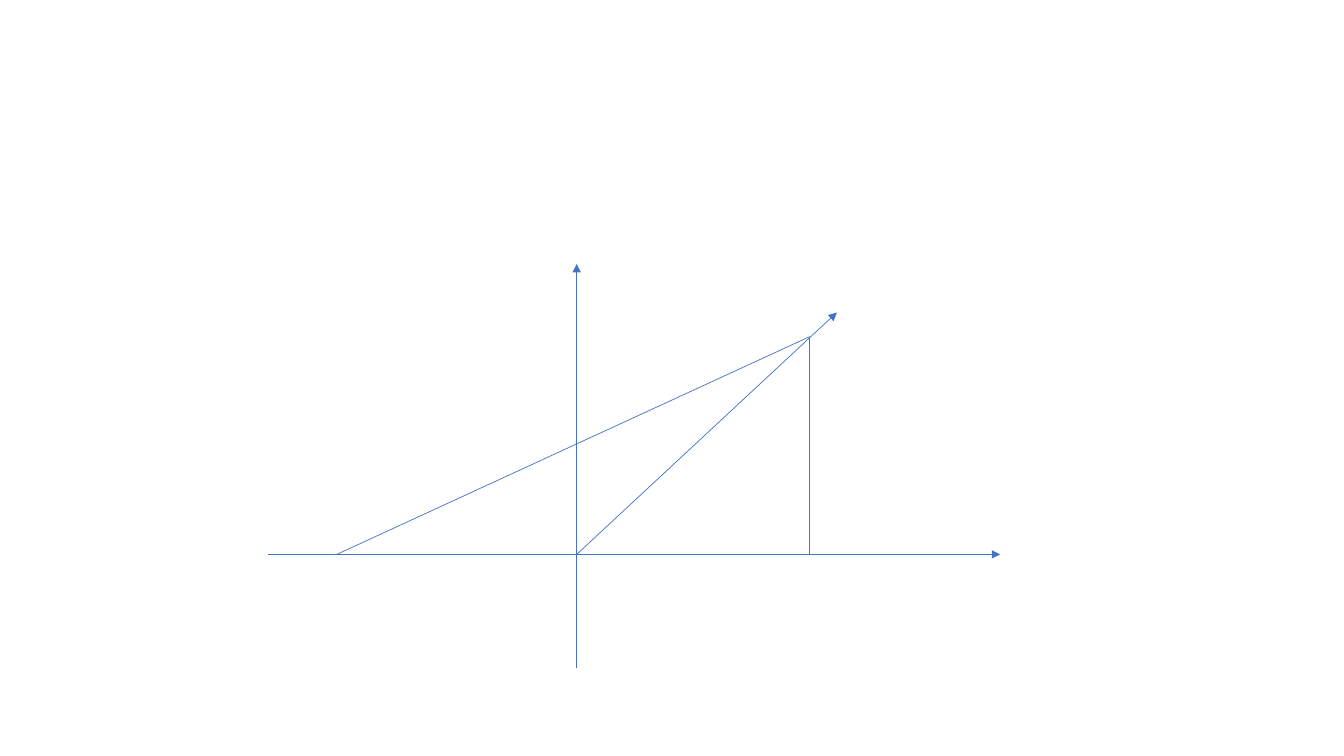
from lxml import etree
from pptx import Presentation
from pptx.dml.color import RGBColor
from pptx.enum.shapes import MSO_CONNECTOR
from pptx.oxml.ns import qn
from pptx.util import Inches, Pt

STRAIGHT = MSO_CONNECTOR.STRAIGHT
BLUE = "4472C4"
BLANK_LAYOUT = 6


def color(hex_code):
    return RGBColor.from_string(hex_code)


def add_line(slide, start, end, arrow=False):
    points = [Inches(value) for value in (*start, *end)]
    connector = slide.shapes.add_connector(STRAIGHT, *points)
    connector.line.color.rgb = color(BLUE)
    connector.line.width = Pt(0.5)
    properties = connector._element.spPr
    if arrow:
        outline = properties.find(qn("a:ln"))
        etree.SubElement(outline, qn("a:tailEnd"), type="triangle")
    etree.SubElement(properties, qn("a:effectLst"))


def draw_diagram(slide, left, top, width, height):
    """Draw the axes, the ray from the origin and the triangle inside the box."""
    right, bottom = left + width, top + height
    origin_x, origin_y = left + 3.06, top + 2.88
    origin = (origin_x, origin_y)
    apex = (origin_x + 2.31, origin_y - 2.16)
    foot = (apex[0], origin_y)
    base_corner = (origin_x - 2.38, origin_y)
    ray_tip = (origin_x + 2.58, origin_y - 2.4)

    add_line(slide, (left, origin_y), (right, origin_y), arrow=True)
    add_line(slide, (origin_x, bottom), (origin_x, top), arrow=True)
    add_line(slide, origin, ray_tip, arrow=True)
    add_line(slide, base_corner, apex)
    add_line(slide, apex, foot)


def main():
    deck = Presentation()
    deck.slide_width, deck.slide_height = Inches(13.33), Inches(7.5)
    slide = deck.slides.add_slide(deck.slide_layouts[BLANK_LAYOUT])
    draw_diagram(slide, left=2.66, top=2.62, width=7.26, height=4.01)
    deck.save("out.pptx")


if __name__ == "__main__":
    main()
